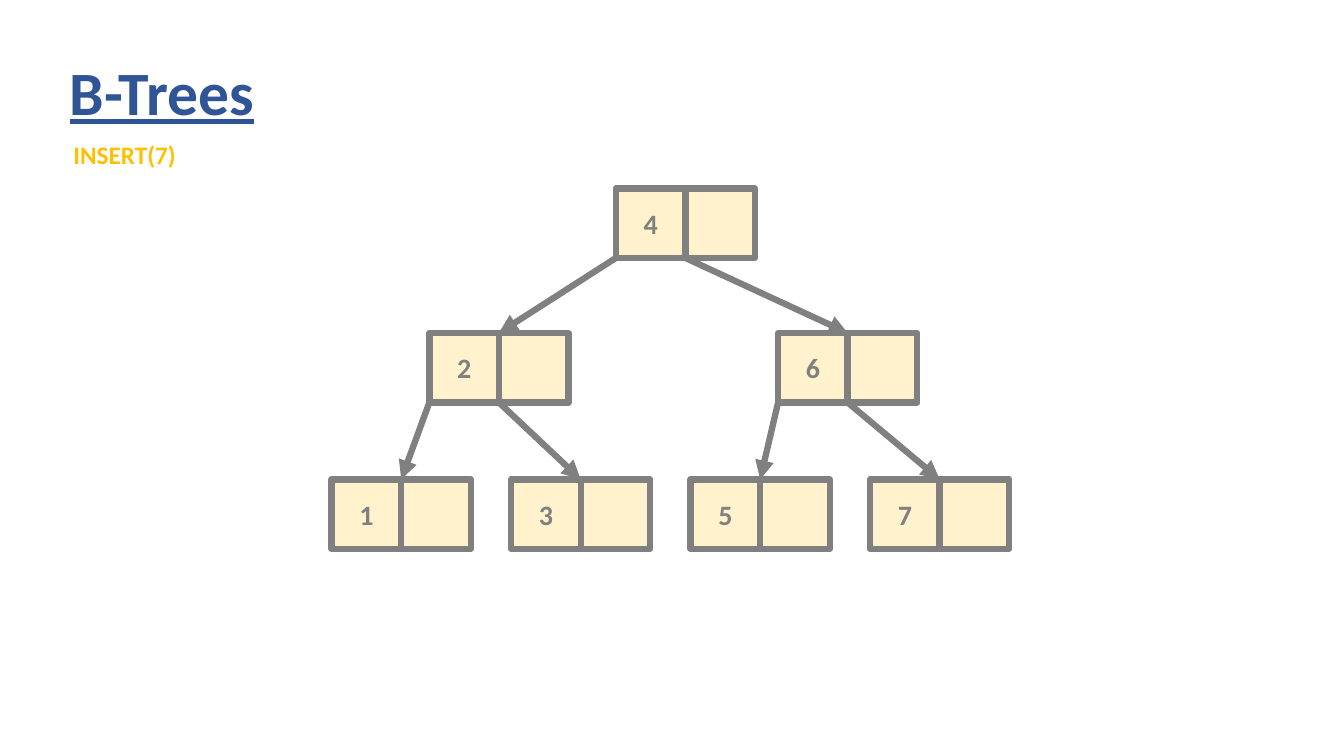
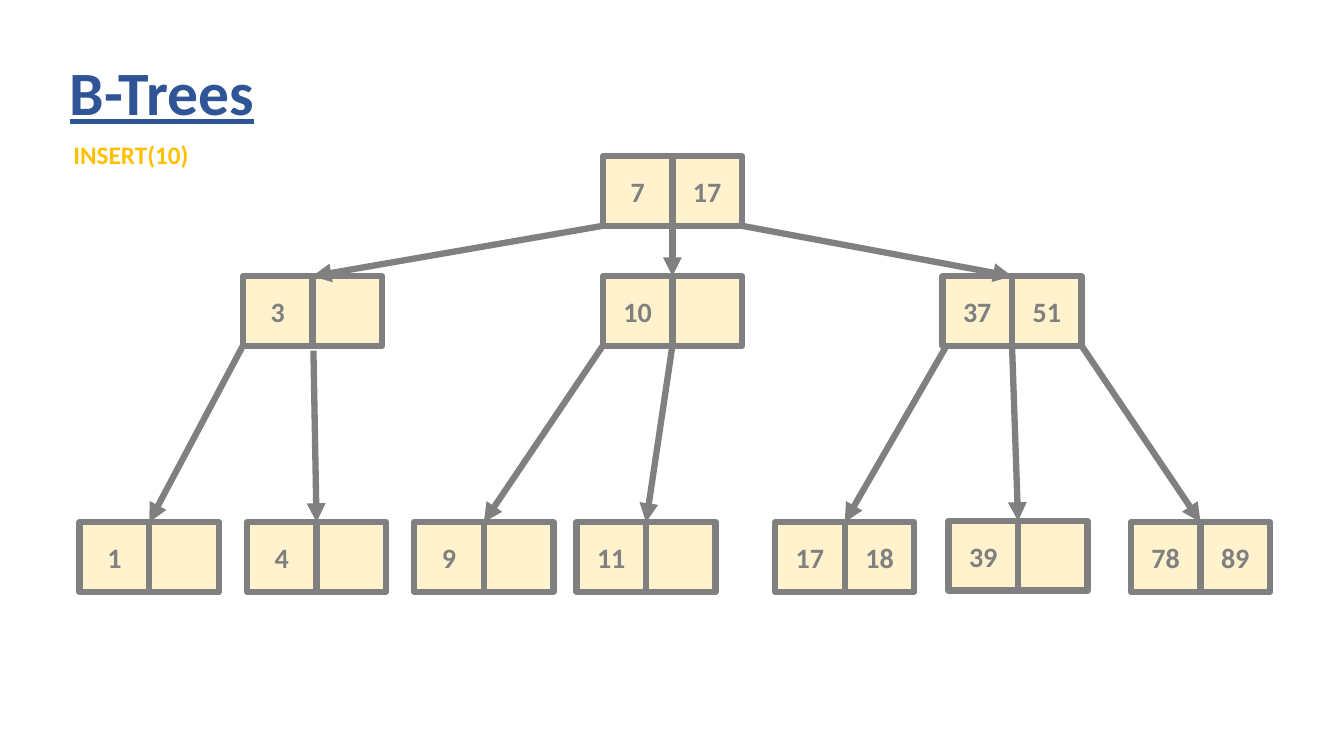
from collections import namedtuple

from lxml.etree import SubElement
from pptx import Presentation
from pptx.dml.color import RGBColor
from pptx.enum.shapes import MSO_CONNECTOR as Connector, MSO_SHAPE as Shape
from pptx.enum.text import MSO_ANCHOR as Anchor, MSO_AUTO_SIZE as AutoSize, PP_ALIGN as Align
from pptx.oxml.ns import qn
from pptx.util import Pt

Node = namedtuple("Node", "left top")


def rgb(color):
    """Turn a hex string into a colour."""
    return RGBColor.from_string(color)


class TreeDeck:
    """Style of the B-tree slides and the slide being drawn."""

    FONT = "Calibri"
    BLUE, GOLD, GRAY, CREAM = "2F5597", "FFC000", "808080", "FFF2CC"
    CELL, STROKE = 49.7, 4.5

    def __init__(self):
        """Start a widescreen presentation."""
        self.deck = Presentation()
        self.deck.slide_width, self.deck.slide_height = Pt(960), Pt(540)
        self.slide = None

    def add_words(self, paragraph, words, size, color, underline=None):
        """Add one bold run to a paragraph."""
        run = paragraph.add_run()
        run.text = words
        font = run.font
        font.name, font.size, font.bold = self.FONT, Pt(size), True
        font.underline = underline
        font.color.rgb = rgb(color)

    def start(self, operation):
        """Open a slide with the shared title and its tree operation."""
        self.slide = self.deck.slides.add_slide(self.deck.slide_layouts[5])
        title = self.slide.shapes.title
        title.left, title.top, title.width, title.height = Pt(42.5), Pt(16), Pt(828), Pt(104.4)
        frame = title.text_frame
        frame.auto_size, frame.vertical_anchor = AutoSize.NONE, Anchor.MIDDLE
        heading = frame.paragraphs[0]
        heading.alignment, heading.line_spacing = Align.LEFT, 0.9
        self.add_words(heading, "B-Trees", 44, self.BLUE, True)

        label = self.slide.shapes.add_textbox(Pt(45.4), Pt(95.8), Pt(97), Pt(29)).text_frame
        label.word_wrap, label.auto_size = False, AutoSize.SHAPE_TO_FIT_TEXT
        self.add_words(label.paragraphs[0], operation, 18, self.GOLD)

    def cell(self, left, top, key):
        """Draw one key cell, which may be empty."""
        cell = self.slide.shapes.add_shape(
            Shape.RECTANGLE, Pt(left), Pt(top), Pt(self.CELL), Pt(self.CELL))
        cell.shadow.inherit = False
        cell.fill.solid()
        cell.fill.fore_color.rgb = rgb(self.CREAM)
        cell.line.color.rgb = rgb(self.GRAY)
        cell.line.width = Pt(self.STROKE)
        if key:
            cell.text_frame.vertical_anchor = Anchor.MIDDLE
            paragraph = cell.text_frame.paragraphs[0]
            paragraph.alignment = Align.CENTER
            self.add_words(paragraph, key, 20, self.GRAY)

    def node(self, left, top, first, second=""):
        """Draw a node of two key cells and return its place."""
        for slot, key in enumerate((first, second)):
            self.cell(left + slot * self.CELL, top, key)
        return Node(left, top)

    def arrow(self, parent, slot, child, shift_x=0, shift_y=0):
        """Point from a child slot of the parent to the top of the child."""
        arrow = self.slide.shapes.add_connector(
            Connector.STRAIGHT,
            Pt(parent.left + slot * self.CELL + shift_x),
            Pt(parent.top + self.CELL + shift_y),
            Pt(child.left + self.CELL), Pt(child.top))
        arrow.line.color.rgb = rgb(self.GRAY)
        arrow.line.width = Pt(self.STROKE)
        properties = arrow.element.spPr
        SubElement(properties.find(qn("a:ln")), qn("a:tailEnd"), type="triangle")
        SubElement(properties, qn("a:effectLst"))

    def branch(self, parent, children):
        """Link a parent to its children from left to right."""
        for slot, child in enumerate(children):
            self.arrow(parent, slot, child)


def draw_insert_7(deck):
    """Draw the tree after inserting 7."""
    deck.start("INSERT(7)")
    root = deck.node(439.9, 134.6, "4")
    inner = [deck.node(left, 237.8, key) for left, key in ((306.7, "2"), (555.8, "6"))]
    leaves = [deck.node(236.9 + 128.2 * place, 342.4, key) for place, key in enumerate("1357")]
    deck.branch(root, inner)
    deck.branch(inner[0], leaves[:2])
    deck.branch(inner[1], leaves[2:])


def draw_insert_10(deck):
    """Draw the tree after inserting 10."""
    deck.start("INSERT(10)")
    root = deck.node(430.6, 111.6, "7", "17")
    low, middle, high = inner = [
        deck.node(left, 197.3, *keys)
        for left, *keys in ((173.5, "3"), (430.6, "10"), (673.2, "37", "51"))]
    leaves = [
        deck.node(left, top, *keys)
        for left, top, *keys in (
            (56.9, 373, "1"), (176.4, 373, "4"), (295.9, 373, "9"), (411.8, 373, "11"),
            (553.7, 373, "17", "18"), (677.5, 372.2, "39"), (807.8, 373, "78", "89"))]
    deck.branch(root, inner)
    deck.arrow(low, 0, leaves[0])
    deck.arrow(low, 1, leaves[1], 0.7, 3.5)
    deck.branch(middle, leaves[2:4])
    deck.arrow(high, 0, leaves[4], 2.9)
    deck.arrow(high, 1, leaves[5])
    deck.arrow(high, 2, leaves[6])


def main():
    """Build and save both slides."""
    deck = TreeDeck()
    draw_insert_7(deck)
    draw_insert_10(deck)
    deck.deck.save("out.pptx")


if __name__ == "__main__":
    main()
